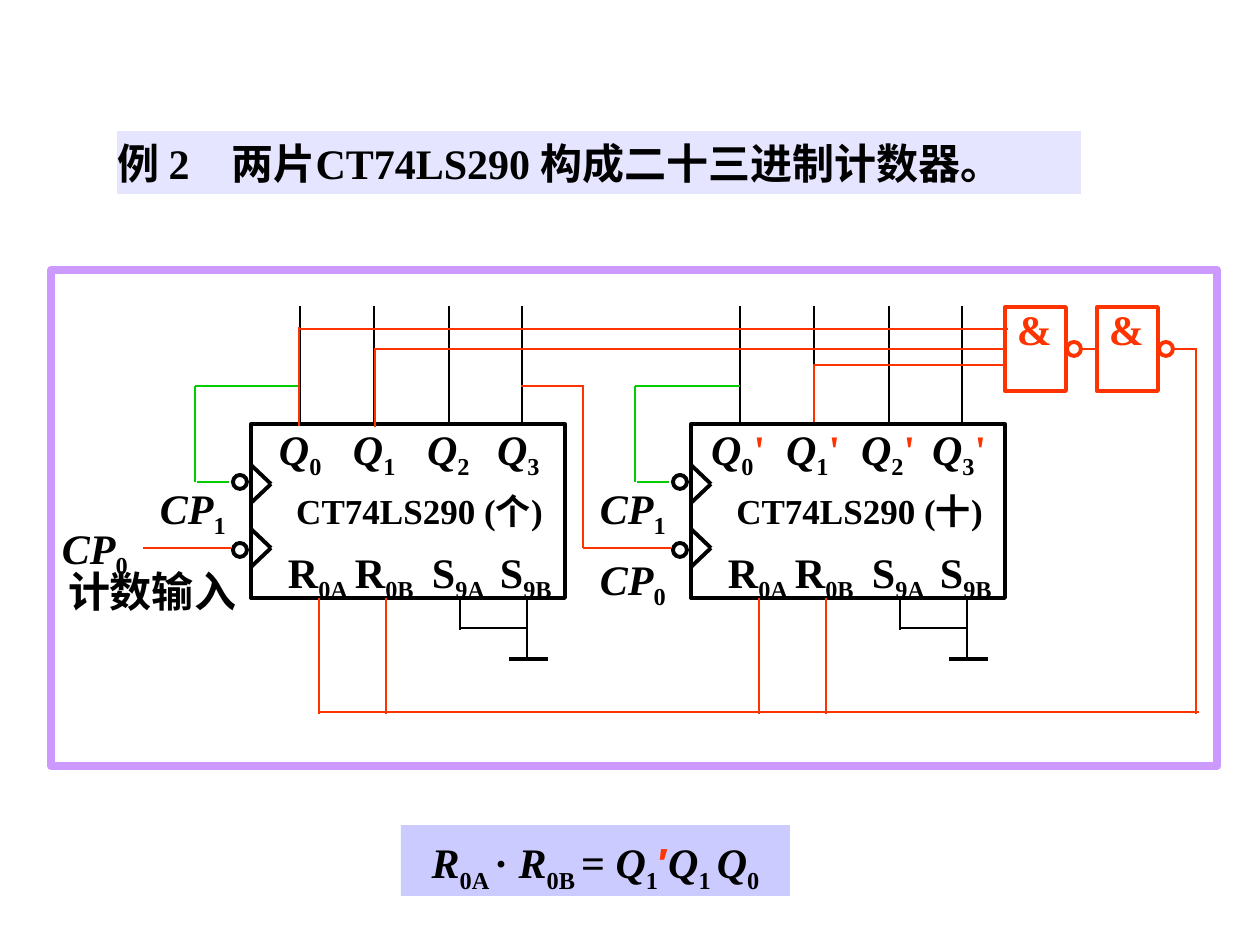
"""Build the slide of a base-23 counter made of two CT74LS290 chips."""
from lxml.etree import SubElement
from pptx import Presentation
from pptx.dml.color import RGBColor
from pptx.enum.shapes import MSO_CONNECTOR, MSO_SHAPE
from pptx.enum.text import MSO_ANCHOR, MSO_AUTO_SIZE, PP_ALIGN
from pptx.oxml.ns import qn
from pptx.util import Pt

SCALE = 914400 / 126
THEME = {
    "ink": "000000", "red": "FF3300", "green": "00CC00", "frame": "CC99FF",
    "head": "CCCCFF", "rule": "9999FF", "font": "Times New Roman",
    "prime": "Arial", "big": 24, "mid": 20, "thin": 1.5, "bold": 2.25, "wide": 4.5,
}

TITLE = [("例 2　两片CT74LS290 构成二十三进制计数器。", "")]
RULE = [("R", "i"), ("0A ", "s"), ("· ", ""), ("R", "i"), ("0B ", "s"), ("= ", ""),
        ("Q", "i"), ("1", "s"), ("′", "ra"), ("Q", "i"), ("1 ", "s"),
        ("Q", "i"), ("0", "s")]
CHIPS = [
    {"left": 251, "name": "CT74LS290 (个)", "outs": (28, 102, 176, 246),
     "prime": [], "clock": (62, 522)},
    {"left": 691, "name": "CT74LS290 (十)", "outs": (20, 95, 170, 241),
     "prime": [("'", "r")], "clock": (600, 553)},
]
STEMS = (49, 123, 198, 271)
PINS = [("R", "0A", 37, 60), ("R", "0B", 104, 59),
        ("S", "9A", 181, 53), ("S", "9B", 249, 52)]
RESETS = (68, 135)
CLOCKS = [(475, 484), (543, 548)]
GATES = (1005, 1097)
BLACK = [((209, 597), (209, 630)), ((276, 597), (276, 657)), ((209, 628), (276, 628))]
GREEN = [((-54, 482), (-22, 482)), ((-56, 386), (-56, 482)), ((-56, 386), (49, 386))]
NETS = [
    ((143, 548), (231, 548)), ((521, 386), (584, 386)),
    ((583, 386), (583, 548)), ((583, 548), (671, 548)),
    ((300, 329), (1008, 329)), ((814, 365), (1003, 365)),
    ((299, 327), (299, 426)), ((375, 349), (375, 427)), ((814, 364), (814, 422)),
    ((319, 712), (1199, 712)), ((1172, 349), (1197, 349)), ((1196, 349), (1196, 714)),
]


def emu(px):
    """Turn px into EMU."""
    return round(px * SCALE)


def tint(name):
    """Give a theme colour."""
    return RGBColor.from_string(THEME[name])


def write(shape, runs, size="big", align=PP_ALIGN.LEFT, color="ink", wrap=True, pad=(0, 0)):
    """Fill a shape with runs; marks are i italic, s subscript, r red, a prime font."""
    frame = shape.text_frame
    frame.auto_size = MSO_AUTO_SIZE.NONE
    frame.word_wrap = wrap
    frame.vertical_anchor = MSO_ANCHOR.MIDDLE
    frame.margin_left = frame.margin_right = 0
    frame.margin_top, frame.margin_bottom = map(emu, pad)
    para = frame.paragraphs[0]
    para.alignment = align
    for words, marks in runs:
        run = para.add_run()
        run.text = words
        font = run.font
        font.name = THEME["prime" if "a" in marks else "font"]
        font.size = Pt(THEME[size])
        font.bold = True
        font.italic = "i" in marks
        font.color.rgb = tint("red" if "r" in marks else color)
        if "s" in marks:
            run._r.get_or_add_rPr().set("baseline", "-25000")


def label(runs, x, y, w, h=58, **style):
    """Add a text box."""
    box = slide.shapes.add_textbox(*map(emu, (x, y, w, h)))
    write(box, runs, wrap=False, **style)


def shade(shape, color):
    """Give a half clear fill and no line."""
    shape.fill.solid()
    shape.fill.fore_color.rgb = tint(color)
    tone = shape.fill._xPr.find(qn("a:solidFill"))[0]
    SubElement(tone, qn("a:alpha")).set("val", "50000")
    shape.line.fill.background()


def form(kind, x, y, w, h, color="ink", width="bold"):
    """Add a hollow shape."""
    shape = slide.shapes.add_shape(kind, *map(emu, (x, y, w, h)))
    shape.shadow.inherit = False
    shape.fill.background()
    shape.line.color.rgb = tint(color)
    shape.line.width = Pt(THEME[width])
    return shape


def wire(start, end, color="ink", width="thin", left=0):
    """Add a straight wire, shifted by left."""
    (x, y), (u, v) = start, end
    line = slide.shapes.add_connector(
        MSO_CONNECTOR.STRAIGHT, *map(emu, (x + left, y, u + left, v)))
    line.line.color.rgb = tint(color)
    line.line.width = Pt(THEME[width])
    SubElement(line._element.spPr, qn("a:effectLst"))
    return line


def draw_chip(left, name, outs, prime, clock):
    """Draw one counter chip with its pins and wires."""
    form(MSO_SHAPE.RECTANGLE, left, 424, 314, 174)
    label([(name, "")], left + 37, 489, 263, 42, size="mid", align=PP_ALIGN.CENTER)
    for num, (stem, out) in enumerate(zip(STEMS, outs)):
        wire((stem, 306), (stem, 422), left=left)
        label([("Q", "i"), (str(num), "s")] + prime, left + out, 423, 54 if prime else 43)
    for head, sub, x, w in PINS:
        label([(head, ""), (sub, "s")], left + x, 546, w)
    for ring, mid in CLOCKS:
        form(MSO_SHAPE.OVAL, left - 18, ring, 14, 14)
        for side in (-19, 19):
            wire((0, mid + side), (20, mid), width="bold", left=left)
    for num, (x, y) in enumerate((clock, (left - 91, 482))):
        label([("CP", "i"), (str(num), "s")], x, y, 65)
    for ends in BLACK:
        wire(*ends, left=left)
    wire((258, 659), (297, 659), width="bold", left=left)
    for x in RESETS:
        wire((x, 598), (x, 714), "red", left=left)
    for ends in GREEN:
        wire(*ends, color="green", left=left)


def draw_gate(left, start):
    """Draw one gate, fed by a wire into its left side."""
    gate = form(MSO_SHAPE.RECTANGLE, left, 307, 61, 84, "red")
    label([("&", "")], left + 12, 304, 35, 50, color="red")
    form(MSO_SHAPE.OVAL, left + 62, 342, 14, 14, "red")
    wire(start, (left, 349), "red").end_connect(gate, 1)


deck = Presentation()
deck.slide_width, deck.slide_height = emu(1260), emu(945)
slide = deck.slides.add_slide(deck.slide_layouts[5])
title = slide.shapes.title
title.left, title.top, title.width, title.height = map(emu, (117, 131, 964, 63))
shade(title, "head")
write(title, TITLE)
form(MSO_SHAPE.FLOWCHART_PROCESS, 51, 270, 1166, 496, "frame", "wide")
label([("计数输入", "")], 68, 566, 168, 50)
for chip in CHIPS:
    draw_chip(**chip)
for ends in NETS:
    wire(*ends, color="red")
for left, start in zip(GATES, ((374, 349), (1080, 349))):
    draw_gate(left, start)
rule = form(MSO_SHAPE.RECTANGLE, 401, 825, 389, 71)
shade(rule, "rule")
write(rule, RULE, align=PP_ALIGN.CENTER, pad=(16, 6))
deck.save("out.pptx")
